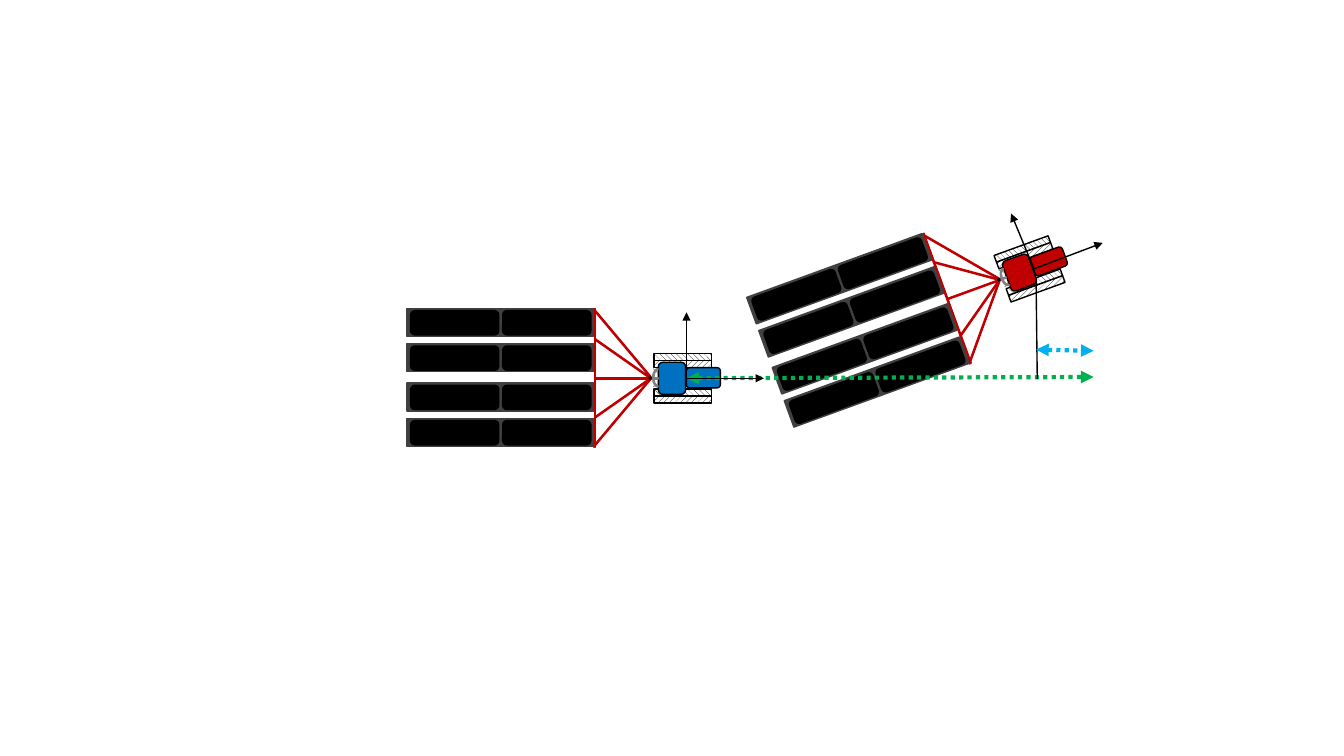
"""Draw two tractors towing planting gear, with axes and offset arrows."""
from math import cos, pi, sin

from lxml import etree
from pptx import Presentation
from pptx.dml.color import RGBColor
from pptx.enum.dml import MSO_LINE, MSO_PATTERN
from pptx.enum.shapes import MSO_CONNECTOR, MSO_SHAPE
from pptx.oxml.ns import qn
from pptx.util import Cm, Pt

RECT, ROUND, OVAL = MSO_SHAPE.RECTANGLE, MSO_SHAPE.ROUNDED_RECTANGLE, MSO_SHAPE.OVAL
UP, DOWN = MSO_PATTERN.WIDE_UPWARD_DIAGONAL, MSO_PATTERN.WIDE_DOWNWARD_DIAGONAL
DOTS, LINE = MSO_LINE.ROUND_DOT, MSO_CONNECTOR.STRAIGHT

COLORS = {
    "black": "000000", "white": "FFFFFF", "rail": "404040", "rope": "C00000",
    "red": "C00000", "blue": "0070C0", "steel": "808080", "bar": "595959",
    "green": "00B050", "sky": "00B0F0",
}

RIGS = [(19.18, 6.07, "red", -20), (10.26, 7.77, "blue", 0)]
RAILS = [0, 0.89, 1.88, 2.77]
BOXES = [0.09, 2.41]
TREADS = [(1.14, DOWN), (1.32, UP), (2.03, DOWN), (2.21, UP)]
ROPES = [
    (5.42, 0.88, 2.24, 50), (5.42, 2.63, 2.24, 310), (5.42, 1.77, 1.37, 0),
    (5.42, 1.26, 1.68, 35), (5.42, 2.27, 1.68, 325), (4.74, 1.75, 3.48, 270),
]
BODY = [(7.21, 1.32, 0.51, 0.86), (6.27, 1.42, 0.81, 0.69)]
STRUTS = [(6.2, 1.52, 6.32, 1.63), (6.2, 1.98, 6.32, 1.9)]
HOOK = (6.32, 1.75)
RINGS = [(0.13, 0.23, 1), (0.1, 0.2, -1)]
THIN = 0.03
STEPS = 12

ARROWS = [
    (26.04, 6.78, 27.79, 6.12, "black", 1, ("tail",)),
    (26.06, 6.78, 25.48, 5.38, "black", 1, ("tail",)),
    (17.3, 9.53, 27.56, 9.5, "green", 3, ("head", "tail")),
    (17.27, 9.53, 19.25, 9.53, "black", 1, ("tail",)),
    (17.3, 9.53, 17.3, 7.87, "black", 1, ("tail",)),
    (26.14, 9.55, 26.11, 7.04, "black", 1, ()),
    (26.11, 8.81, 27.56, 8.84, "sky", 3, ("head", "tail")),
]


def shade(name):
    return RGBColor.from_string(COLORS[name])


def paint(shape, fill, edge):
    shape.shadow.inherit = False
    shape.fill.solid()
    shape.fill.fore_color.rgb = shade(fill)
    shape.line.color.rgb = shade(edge)
    shape.line.width = Pt(1)


def add_line(shapes, ends, color, width, heads=()):
    line = shapes.add_connector(LINE, *map(Cm, ends))
    line.line.color.rgb = shade(color)
    line.line.width = Pt(width)
    if width > 2:
        line.line.dash_style = DOTS
    for end in heads:
        etree.SubElement(line.line._get_or_add_ln(), qn(f"a:{end}End"), type="triangle")
    etree.SubElement(line._element.spPr, qn("a:effectLst"))


def add_rig(slide, left, top, color, angle):
    group = slide.shapes.add_group_shape()
    shapes = group.shapes

    def add(kind, x, y, w, h, fill, edge, turn=0):
        shape = shapes.add_shape(kind, Cm(left + x), Cm(top + y), Cm(w), Cm(h))
        paint(shape, fill, edge)
        shape.rotation = turn
        return shape

    for y, hatch in TREADS:
        tread = add(RECT, 6.22, y, 1.45, 0.18, "white", "black")
        tread.fill.patterned()
        tread.fill.pattern = hatch
        tread.fill.fore_color.rgb = shade("black")
        tread.fill.back_color.rgb = shade("white")

    for part in BODY:
        add(ROUND, *part, color, "black", 90)

    points = []
    for wide, high, way in RINGS:
        for step in range(STEPS + 1):
            turn = way * (step / STEPS - 0.5) * pi
            x = left + HOOK[0] - wide * cos(turn)
            y = top + HOOK[1] + high * sin(turn)
            points.append((Cm(x), Cm(y)))
    pen = shapes.build_freeform(*points[0])
    pen.add_line_segments(points[1:], close=True)
    paint(pen.convert_to_shape(), "steel", "steel")

    add(RECT, 6.12, 1.75, 0.2, THIN, "bar", "steel")
    for x1, y1, x2, y2 in STRUTS:
        add_line(shapes, (left + x1, top + y1, left + x2, top + y2), "steel", 0.5)
    for x, y, size, turn in ROPES:
        add(RECT, x - size / 2, y - THIN / 2, size, THIN, "rope", "rope", turn)
    add(OVAL, 6.1, 1.73, 0.05, 0.05, "steel", "black")

    for y in RAILS:
        add(RECT, 0, y, 4.7, 0.71, "rail", "rail")
        for x in BOXES:
            add(ROUND, x, y + 0.06, 2.22, 0.61, "black", "black")
    group.rotation = angle


def main():
    deck = Presentation()
    deck.slide_width, deck.slide_height = Cm(33.87), Cm(19.05)
    slide = deck.slides.add_slide(deck.slide_layouts[6])
    for rig in RIGS:
        add_rig(slide, *rig)
    for *ends, color, width, heads in ARROWS:
        add_line(slide.shapes, ends, color, width, heads)
    deck.save("out.pptx")


if __name__ == "__main__":
    main()
